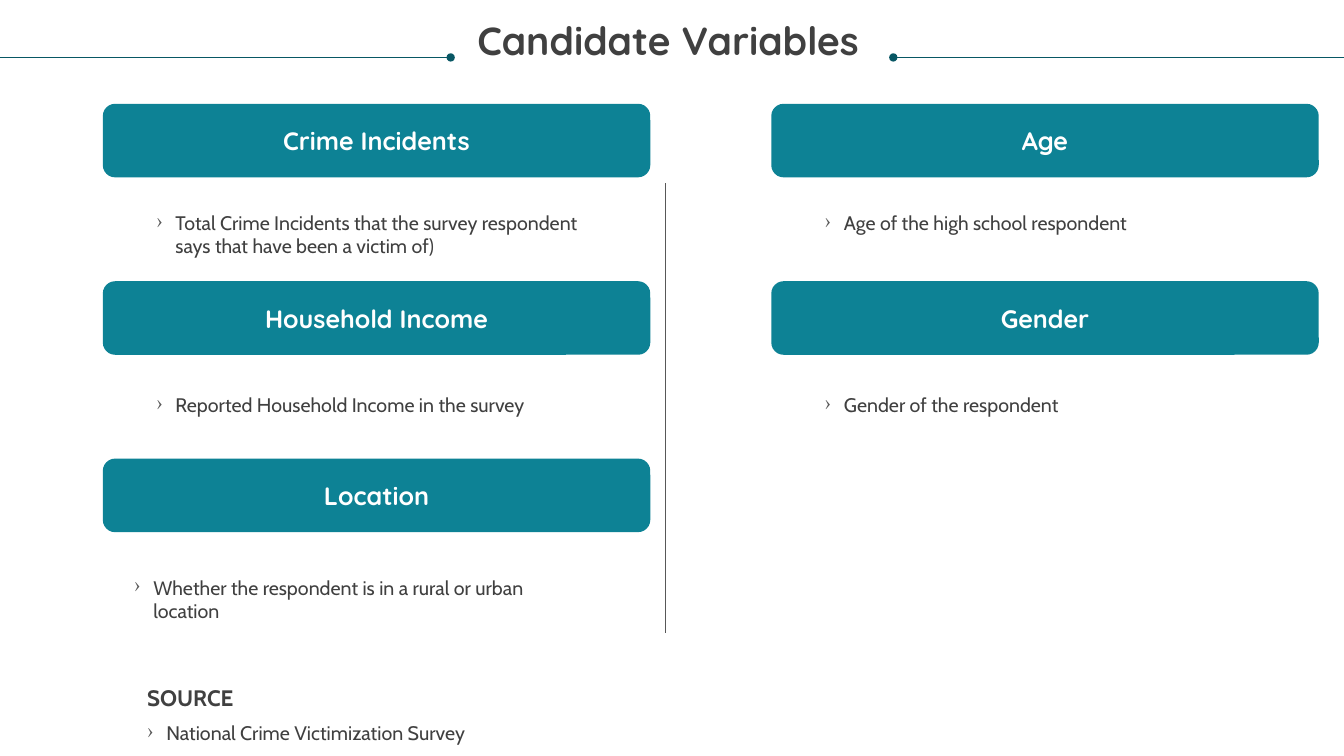
from lxml.etree import SubElement
from pptx import Presentation
from pptx.dml.color import RGBColor
from pptx.enum.shapes import MSO_CONNECTOR as Connector, MSO_SHAPE as Shape
from pptx.enum.text import MSO_ANCHOR as Anchor, PP_ALIGN as Align
from pptx.oxml.ns import qn
from pptx.util import Inches, Pt

TEAL = RGBColor(0x0D, 0x82, 0x95)
DARK_TEAL = RGBColor(0x08, 0x57, 0x64)
INK = RGBColor(0x40, 0x40, 0x40)
GREY = RGBColor(0x58, 0x58, 0x58)
WHITE = RGBColor(0xFF, 0xFF, 0xFF)

SLIDE_W, SLIDE_H = 13.33, 7.5
COLUMN_LEFT, COLUMN_PITCH = 1.02, 6.63
BANNER_TOP, BANNER_PITCH = 1.03, 1.76
BANNER_W, BANNER_H = 5.43, 0.73
DETAIL_TOP, DETAIL_PITCH = 2.09, 1.81
DETAIL_W, DETAIL_INDENT = 4.55, 0.53
LINE_H = 0.24
HANGING = 0.19
SOURCE_LEFT = 1.46
RULE_Y = 0.57

TITLE = {"name": "Quicksand", "size": Pt(28), "bold": True}
BANNER = {"name": "Quicksand", "size": Pt(18), "bold": True}
DETAIL = {"name": "Cabin", "size": Pt(14), "bold": False}
SOURCE = {"name": "Cabin", "size": Pt(16), "bold": True}

VARIABLES = [
    (0, 0, "Crime Incidents", DETAIL_INDENT, 2,
     "Total Crime Incidents that the survey respondent says that have been a victim of)"),
    (0, 1, "Household Income", DETAIL_INDENT, 1, "Reported Household Income in the survey"),
    (0, 2, "Location", 0.31, 2, "Whether the respondent is in a rural or urban location"),
    (1, 0, "Age", DETAIL_INDENT, 1, "Age of the high school respondent"),
    (1, 1, "Gender", DETAIL_INDENT, 1, "Gender of the respondent"),
]


def write(paragraph, wording, style, color):
    run = paragraph.add_run()
    run.text = wording
    for attribute, value in style.items():
        setattr(run.font, attribute, value)
    run.font.color.rgb = color


def add_text(slide, box, wording, style, align=Align.LEFT):
    frame = slide.shapes.add_textbox(*map(Inches, box)).text_frame
    layout = {"word_wrap": True, "margin_left": 0, "margin_right": 0,
              "margin_top": 0, "margin_bottom": 0}
    for attribute, value in layout.items():
        setattr(frame, attribute, value)
    paragraph = frame.paragraphs[0]
    paragraph.alignment = align
    write(paragraph, wording, style, INK)
    return paragraph


def add_bullet(slide, left, top, lines, wording):
    paragraph = add_text(slide, (left, top, DETAIL_W, lines * LINE_H), wording, DETAIL)
    properties = paragraph._p.get_or_add_pPr()
    properties.set("marL", str(Inches(HANGING)))
    properties.set("indent", str(-Inches(HANGING)))
    bullet_color = SubElement(properties, qn("a:buClr"))
    SubElement(bullet_color, qn("a:srgbClr"), val=str(GREY))
    SubElement(properties, qn("a:buChar"), char="›")


def add_banner(slide, left, top, wording):
    banner = slide.shapes.add_shape(
        Shape.ROUNDED_RECTANGLE, *map(Inches, (left, top, BANNER_W, BANNER_H)))
    banner.shadow.inherit = False
    banner.fill.solid()
    banner.fill.fore_color.rgb = TEAL
    banner.line.fill.background()
    banner.text_frame.vertical_anchor = Anchor.MIDDLE
    paragraph = banner.text_frame.paragraphs[0]
    paragraph.alignment = Align.CENTER
    write(paragraph, wording, BANNER, WHITE)


def add_rule(slide, ends, color, dotted=False):
    rule = slide.shapes.add_connector(Connector.STRAIGHT, *map(Inches, ends))
    rule.line.color.rgb = color
    rule.line.width = Pt(0.5)
    if dotted:
        SubElement(rule.line._get_or_add_ln(), qn("a:headEnd"), type="oval")
    SubElement(rule._element.spPr, qn("a:effectLst"))


def add_variable(slide, column, row, heading, indent, lines, detail):
    left = COLUMN_LEFT + column * COLUMN_PITCH
    add_banner(slide, left, BANNER_TOP + row * BANNER_PITCH, heading)
    add_bullet(slide, left + indent, DETAIL_TOP + row * DETAIL_PITCH, lines, detail)


def main():
    deck = Presentation()
    deck.slide_width, deck.slide_height = Inches(SLIDE_W), Inches(SLIDE_H)
    slide = deck.slides.add_slide(deck.slide_layouts[6])

    for dot, edge in ((4.47, 0), (8.86, SLIDE_W)):
        add_rule(slide, (dot, RULE_Y, edge, RULE_Y), DARK_TEAL, dotted=True)
    title = add_text(slide, (0.25, 0.21, 12.75, 0.42), "Candidate Variables",
                     TITLE, Align.CENTER)
    title.line_spacing = 0.9

    add_rule(slide, (6.6, 1.82, 6.6, 6.28), GREY)
    for variable in VARIABLES:
        add_variable(slide, *variable)

    add_text(slide, (SOURCE_LEFT, 6.79, DETAIL_W, 0.27), "SOURCE", SOURCE)
    add_bullet(slide, SOURCE_LEFT, 7.15, 1, "National Crime Victimization Survey")
    deck.save("out.pptx")


main()
